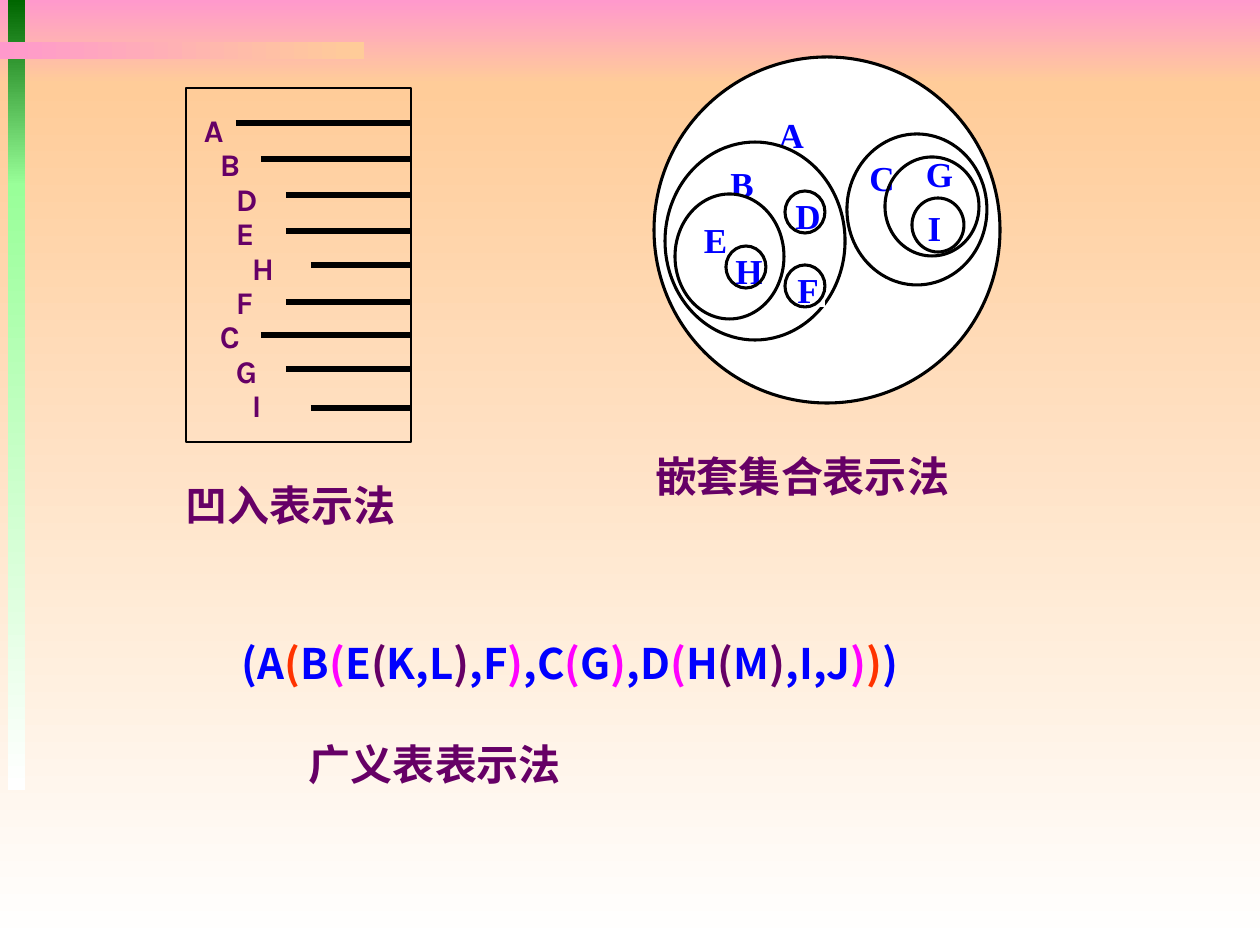
from lxml.etree import SubElement
from pptx import Presentation
from pptx.dml.color import RGBColor
from pptx.enum.shapes import MSO_CONNECTOR, MSO_SHAPE
from pptx.enum.text import MSO_ANCHOR, PP_ALIGN
from pptx.oxml.ns import qn
from pptx.util import Emu, Pt

INK = {
    "pink": "FF99CC", "peach": "FFCC99", "white": "FFFFFF",
    "green": "006600", "mint": "99FF99", "black": "000000",
    "blue": "0000FF", "plum": "660066", "red": "FF3300", "rose": "FF00FF",
}
SERIF, SANS, HAN = "Times New Roman", "Karla", "Noto Sans CJK SC"
BANDS = [
    (0, 0, 1260, 84, "pink", "peach", 270),
    (0, 84, 1260, 861, "peach", "white", 270),
    (8, 0, 17, 186, "green", "mint", 270),
    (8, 184, 17, 606, "mint", "white", 270),
    (0, 42, 364, 17, "pink", "peach", 0),
]
SETS = [
    ("A", (654, 57, 346, 346), (74, 6, 13, 6), 1),
    ("B", (665, 142, 180, 198), (39, 0, 13, 6), 0.8),
    ("C", (847, 134, 140, 151), (2, 0, 13, 6), 1),
    ("E", (675, 194, 109, 125), (13, 6, 13, 6), 1),
]
LEAVES = [("D", 785, 191), ("F", 785, 265), ("H", 726, 246)]
ROWS = [
    ("A", 0, 123), ("B", 1, 159), ("D", 2, 195), ("E", 2, 231), ("H", 3, 265),
    ("F", 2, 302), ("C", 1, 335), ("G", 2, 369), ("I", 3, 408),
]
TERMS = [
    ("(A", "blue"), ("(", "red"), ("B", "blue"), ("(", "rose"), ("E", "blue"),
    ("(", "plum"), ("K,L", "blue"), (")", "plum"), (",F", "blue"),
    (")", "rose"), (",C", "blue"), ("(", "rose"), ("G", "blue"),
    (")", "rose"), (",D", "blue"), ("(", "rose"), ("H", "blue"),
    ("(", "plum"), ("M", "blue"), (")", "plum"), (",I,J", "blue"),
    (")", "rose"), (")", "red"), (")", "blue"),
]


def px(n):
    return Emu(round(n * 914400 / 126))


def rgb(name):
    return RGBColor.from_string(INK[name])


def shape(slide, kind, area, fill=None, line=None, width=1.75):
    item = slide.shapes.add_shape(kind, *map(px, area))
    item.shadow.inherit = False
    if fill:
        item.fill.solid()
        item.fill.fore_color.rgb = rgb(fill)
    else:
        item.fill.background()
    if line:
        item.line.color.rgb = rgb(line)
        item.line.width = Pt(width)
    else:
        item.line.fill.background()
    return item


def band(slide, area, start, end, angle):
    item = shape(slide, MSO_SHAPE.RECTANGLE, area)
    item.fill.gradient()
    item.fill.gradient_angle = angle
    for stop, name in zip(item.fill.gradient_stops, (start, end)):
        stop.color.rgb = rgb(name)


def frame(item, pads):
    body = item.text_frame
    body.word_wrap = True
    body.vertical_anchor = MSO_ANCHOR.TOP
    (body.margin_left, body.margin_top,
     body.margin_right, body.margin_bottom) = map(px, pads)
    return body


def style(para, face, size, ink, align=PP_ALIGN.LEFT, indent=0):
    para.alignment = align
    para.font.size = Pt(size)
    para.font.bold = True
    para.font.color.rgb = rgb(ink)
    para.font.name = face
    props = para._p.get_or_add_pPr()
    SubElement(props.find(qn("a:defRPr")), qn("a:ea"), typeface=face)
    if indent:
        props.set("marL", str(px(indent)))
        props.set("indent", "0")


def label(item, text, pads, align=PP_ALIGN.LEFT, space=1):
    para = frame(item, pads).paragraphs[0]
    para.text = text
    para.line_spacing = space
    style(para, SERIF, 20, "blue", align)


def textbox(slide, area):
    return slide.shapes.add_textbox(*map(px, area))


def caption(slide, area, text):
    para = frame(textbox(slide, area), (13, 6, 13, 6)).paragraphs[0]
    para.text = text
    style(para, HAN, 24, "plum")


def bar(slide, x, y, end):
    item = slide.shapes.add_connector(
        MSO_CONNECTOR.STRAIGHT, px(x), px(y), px(end), px(y))
    item.line.color.rgb = rgb("black")
    item.line.width = Pt(3)
    SubElement(item._element.spPr, qn("a:effectLst"))
    return item


def nest(slide):
    oval = MSO_SHAPE.OVAL
    for text, area, pads, space in SETS:
        item = shape(slide, oval, area, "white", "black")
        label(item, text, pads, space=space)
    for text, x, y in LEAVES:
        tile = shape(slide, MSO_SHAPE.RECTANGLE, (x + 6, y - 8, 34, 50), "white")
        label(tile, text, (0, 0, 0, 0), PP_ALIGN.CENTER, 1.28)
        shape(slide, oval, (x, y, 40, 42), line="black")
    label(textbox(slide, (900, 137, 79, 118)), "G", (0, 15, 0, 0), PP_ALIGN.CENTER)
    shape(slide, oval, (885, 157, 94, 99), line="black")
    item = shape(slide, oval, (912, 198, 52, 54), line="black")
    label(item, "I", (8, 1, 13, 1))


def outline(slide):
    body = frame(textbox(slide, (191, 117, 116, 312)), (13, 6, 13, 6))
    box = shape(slide, MSO_SHAPE.RECTANGLE, (186, 88, 225, 354),
                line="black", width=0.75)
    for i, (text, depth, y) in enumerate(ROWS):
        para = body.add_paragraph() if i else body.paragraphs[0]
        para.text = text
        para.line_spacing = 0.65
        if i:
            para.space_before = Pt(5.6)
        style(para, SANS, 18, "plum", indent=16 * depth)
        line = bar(slide, 236 + 25 * depth, y, 411)
        if y == 265:
            line.end_connect(box, 3)


def formula(slide):
    body = frame(textbox(slide, (229, 632, 725, 164)), (13, 6, 13, 6))
    para = body.paragraphs[0]
    for text, ink in TERMS:
        run = para.add_run()
        run.text = text
        run.font.color.rgb = rgb(ink)
    style(para, HAN, 24, "blue")
    para = body.add_paragraph()
    para.text = "广义表表示法"
    para.space_before = Pt(28.8)
    style(para, HAN, 24, "plum", indent=67)


def main():
    deck = Presentation()
    deck.slide_width, deck.slide_height = px(1260), px(945)
    slide = deck.slides.add_slide(deck.slide_layouts[6])
    for *area, start, end, angle in BANDS:
        band(slide, area, start, end, angle)
    nest(slide)
    outline(slide)
    formula(slide)
    caption(slide, (642, 445, 345, 63), "嵌套集合表示法")
    caption(slide, (173, 474, 271, 63), "凹入表示法")
    deck.save("out.pptx")


if __name__ == "__main__":
    main()
